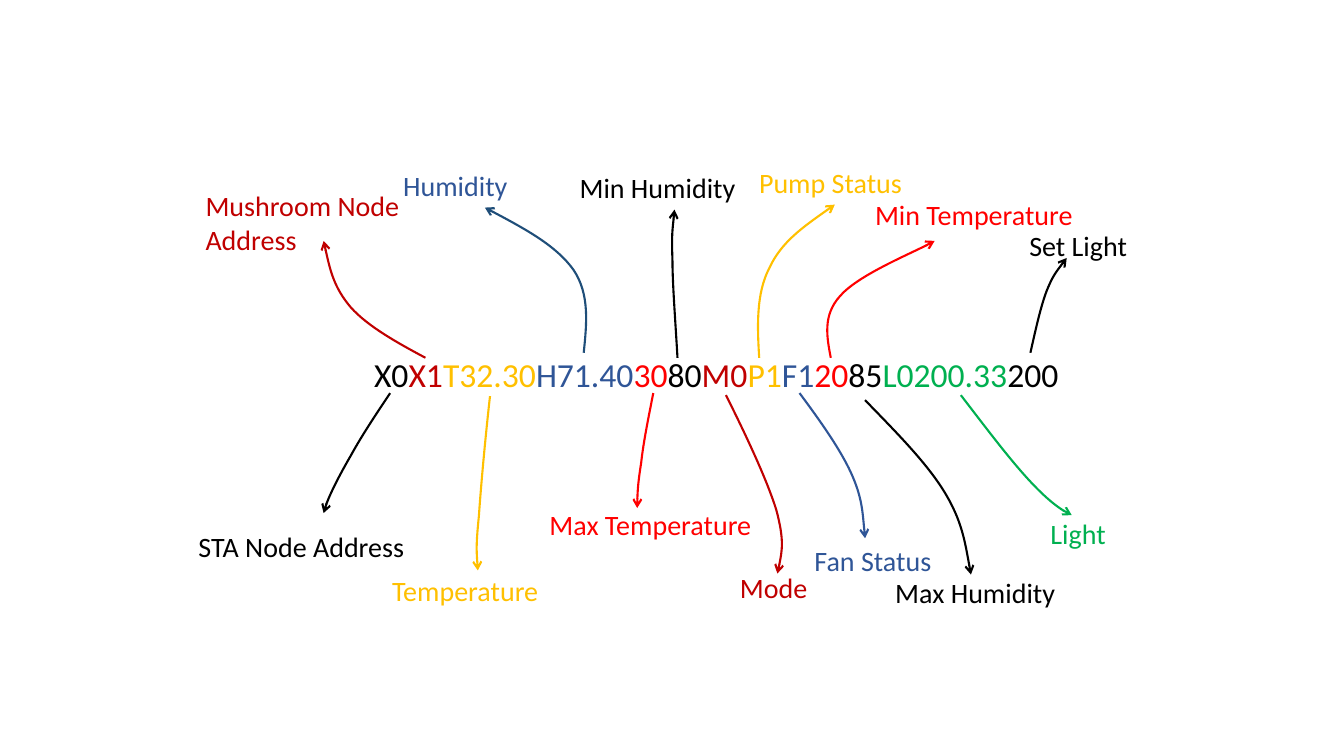
from dataclasses import dataclass

from lxml.etree import SubElement
from pptx import Presentation
from pptx.dml.color import RGBColor
from pptx.enum.text import MSO_ANCHOR, MSO_AUTO_SIZE, PP_ALIGN
from pptx.oxml.ns import qn
from pptx.util import Inches, Pt

WIDTH, HEIGHT = Inches(13.33), Inches(7.5)
COL, ROW = WIDTH / 13.33, HEIGHT / 7.5


@dataclass(frozen=True)
class Theme:
    font: str = "Calibri"
    code: int = 24
    label: int = 20
    line: float = 1.5
    black: str = "000000"
    maroon: str = "C00000"
    gold: str = "FFC000"
    blue: str = "2F5597"
    navy: str = "1F4E79"
    red: str = "FF0000"
    green: str = "00B050"


@dataclass(frozen=True)
class Field:
    """One part of the message; curve is a start point, then three points per Bezier."""
    code: str
    label: str
    color: str
    box: tuple  # left, top, width of the label
    curve: tuple
    stroke: str = ""


T = Theme()
FIELDS = [
    Field("X0", "STA Node Address", T.black, (1.87, 5.2, 2.67),
          ((3.87, 3.9), (3.73, 4.11), (3.59, 4.32), (3.48, 4.52),
           (3.37, 4.71), (3.23, 4.98), (3.21, 5.09))),
    Field("X1", "Mushroom Node\nAddress", T.maroon, (1.94, 1.82, 2.6),
          ((4.22, 3.55), (3.94, 3.4), (3.65, 3.24), (3.48, 3.05),
           (3.31, 2.85), (3.26, 2.62), (3.21, 2.39))),
    Field("T32.30", "Temperature", T.gold, (3.79, 5.64, 1.96),
          ((4.86, 3.93), (4.81, 4.38), (4.77, 4.83), (4.75, 5.12),
           (4.72, 5.41), (4.73, 5.54), (4.74, 5.66))),
    Field("H71.40", "Humidity", T.blue, (3.9, 1.62, 1.45),
          ((5.79, 3.5), (5.82, 3.21), (5.85, 2.92), (5.69, 2.68),
           (5.52, 2.44), (5.17, 2.25), (4.81, 2.06)), T.navy),
    Field("30", "Max Temperature", T.red, (5.35, 4.99, 2.62),
          ((6.48, 3.9), (6.43, 4.15), (6.38, 4.4), (6.36, 4.59),
           (6.33, 4.78), (6.32, 4.91), (6.32, 5.04))),
    Field("80", "Min Humidity", T.black, (5.65, 1.64, 2.07),
          ((6.72, 3.55), (6.7, 3.19), (6.67, 2.82), (6.67, 2.57),
           (6.66, 2.33), (6.68, 2.2), (6.69, 2.08))),
    Field("M0", "Mode", T.maroon, (7.24, 5.61, 1.01),
          ((7.2, 3.92), (7.41, 4.34), (7.61, 4.77), (7.7, 5.06),
           (7.78, 5.36), (7.75, 5.52), (7.71, 5.69))),
    Field("P1", "Pump Status", T.gold, (7.43, 1.59, 1.91),
          ((7.53, 3.55), (7.51, 3.23), (7.5, 2.91), (7.63, 2.66),
           (7.75, 2.4), (8.01, 2.22), (8.28, 2.03))),
    Field("F1", "Fan Status", T.blue, (7.98, 5.34, 1.6),
          ((7.93, 3.9), (8.13, 4.17), (8.33, 4.45), (8.44, 4.69),
           (8.55, 4.93), (8.56, 5.14), (8.58, 5.34))),
    Field("20", "Min Temperature", T.red, (8.58, 1.91, 2.59),
          ((8.24, 3.55), (8.2, 3.34), (8.16, 3.13), (8.33, 2.94),
           (8.5, 2.74), (9.14, 2.47), (9.27, 2.39))),
    Field("85", "Max Humidity", T.black, (8.78, 5.66, 2.12),
          ((8.58, 3.97), (8.88, 4.28), (9.18, 4.58), (9.36, 4.87),
           (9.54, 5.16), (9.58, 5.43), (9.63, 5.7))),
    Field("L0200.33", "Light", T.green, (10.32, 5.07, 2.12),
          ((9.53, 3.92), (9.93, 4.44), (10.32, 4.97), (10.63, 5.11))),
    Field("200", "Set Light", T.black, (10.11, 2.22, 2.12),
          ((10.22, 3.5), (10.27, 3.28), (10.32, 3.05), (10.38, 2.89),
           (10.44, 2.74), (10.51, 2.65), (10.58, 2.56))),
]


def spot(x, y):
    """Turn grid columns and rows into slide lengths."""
    return round(x * COL), round(y * ROW)


def paint(run, size, color):
    run.font.name = T.font
    run.font.size = Pt(size)
    run.font.color.rgb = RGBColor.from_string(color)


def add_code(slide):
    """Write the whole message in the title, one coloured run per field."""
    title = slide.shapes.title
    title.left, title.top = spot(3.61, 3.46)
    title.width, title.height = spot(7.34, 0.5)
    frame = title.text_frame
    frame.word_wrap = True
    frame.auto_size = MSO_AUTO_SIZE.NONE
    frame.vertical_anchor = MSO_ANCHOR.TOP
    para = frame.paragraphs[0]
    para.alignment = PP_ALIGN.LEFT
    for field in FIELDS:
        run = para.add_run()
        run.text = field.code
        paint(run, T.code, field.color)


def add_label(slide, field):
    left, top, width = field.box
    height = 0.44 + 0.33 * field.label.count("\n")
    box = slide.shapes.add_textbox(*spot(left, top), *spot(width, height))
    frame = box.text_frame
    frame.word_wrap = True
    frame.text = field.label
    for para in frame.paragraphs:
        paint(para.runs[0], T.label, field.color)


def add_arrow(slide, field):
    """Draw the curve from the code to its label, with an open arrowhead."""
    start, *rest = [spot(*point) for point in field.curve]
    pen = slide.shapes.build_freeform(*start)
    pen.add_line_segments(rest, close=False)
    shape = pen.convert_to_shape()
    bend(shape)
    shape.shadow.inherit = False
    shape.fill.background()
    shape.line.width = Pt(T.line)
    shape.line.color.rgb = RGBColor.from_string(field.stroke or field.color)
    SubElement(shape.line._get_or_add_ln(), qn("a:tailEnd"), type="arrow")


def bend(shape):
    """Join every three straight segments into one cubic Bezier."""
    steps = shape._element.xpath(".//a:lnTo")
    for first in range(0, len(steps), 3):
        trio = steps[first:first + 3]
        trail = trio[0].getparent()
        cubic = SubElement(trail, qn("a:cubicBezTo"))
        for step in trio:
            cubic.append(step[0])
            trail.remove(step)


def main():
    deck = Presentation()
    deck.slide_width, deck.slide_height = WIDTH, HEIGHT
    slide = deck.slides.add_slide(deck.slide_layouts[5])
    add_code(slide)
    for field in FIELDS:
        add_label(slide, field)
        add_arrow(slide, field)
    deck.save("out.pptx")


if __name__ == "__main__":
    main()
